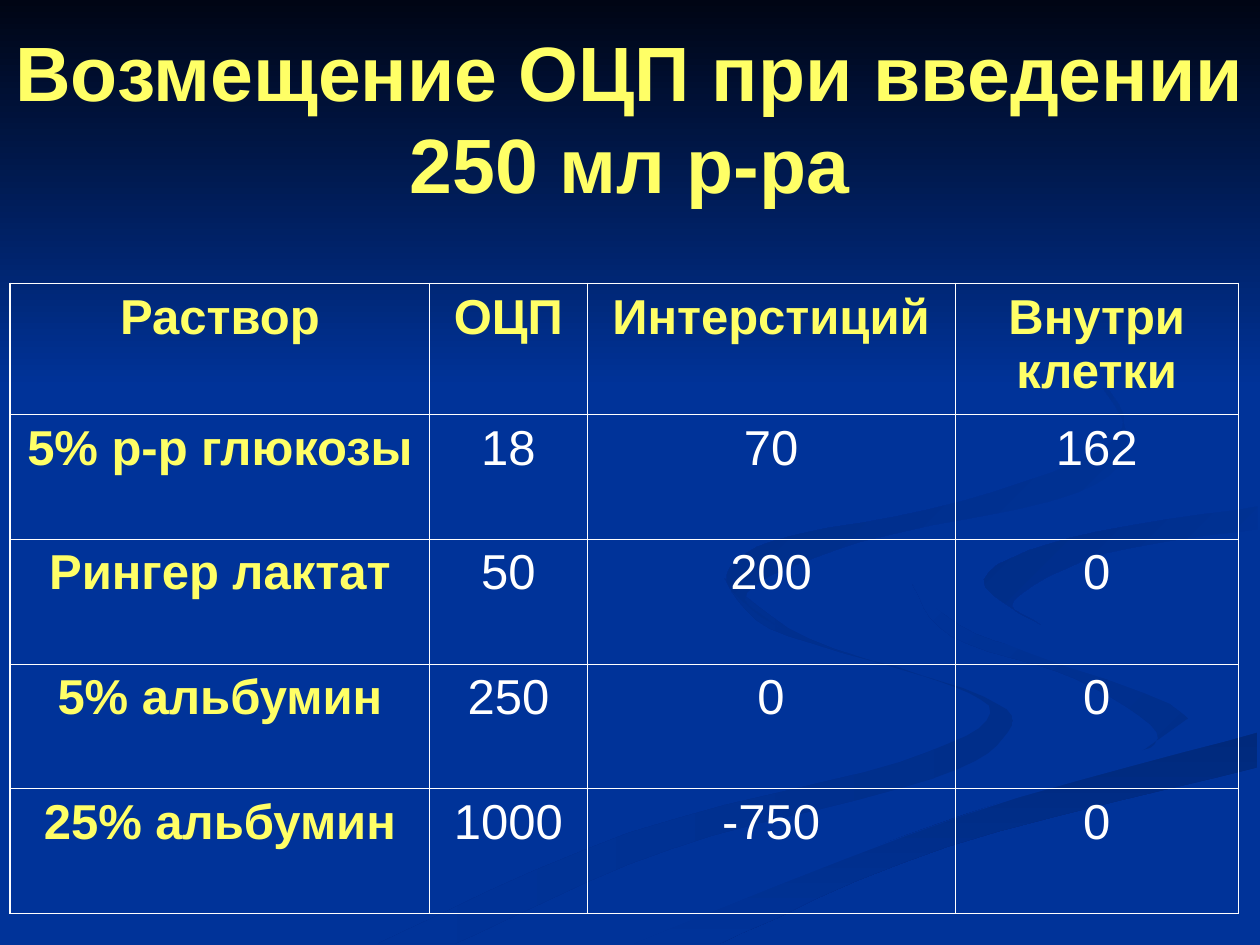
from lxml.etree import SubElement
from pptx import Presentation
from pptx.dml.color import RGBColor
from pptx.enum.shapes import MSO_SHAPE
from pptx.enum.text import MSO_ANCHOR, PP_ALIGN
from pptx.oxml.ns import qn
from pptx.util import Pt

PX = 9144
SLIDE_SIZE = (1000, 750)
COLORS = {
    "blue": "003399", "navy": "000514", "yellow": "FFFF66", "white": "FFFFFF",
    "shade": "002E8A", "deep": "00297C", "dim": "002C85", "dark": "002B81",
}

TITLE = "Возмещение ОЦП при введении 250 мл р-ра"
TITLE_BOX = {"left": 0, "top": 30, "width": 1000, "height": 125}
TABLE_ROWS = [
    ("Раствор", "ОЦП", "Интерстиций", "Внутри клетки"),
    ("5% р-р глюкозы", "18", "70", "162"),
    ("Рингер лактат", "50", "200", "0"),
    ("5% альбумин", "250", "0", "0"),
    ("25% альбумин", "1000", "-750", "0"),
]
TABLE_LEFT, TABLE_TOP = 8, 225
COLUMN_WIDTHS = [333, 125, 292, 225]
HEADER_HEIGHT, ROW_HEIGHT = 104, 99
OUTER_LINE, INNER_LINE = 1.08, 0.45

SKY_HEIGHT = 308
CURVE_STEPS = 6
RIBBONS = [
    {"colors": ("shade", "blue"), "angle": 180, "edges": [
        [(575, 459), (611, 499), (728, 535), (786, 566), (714, 605), (499, 661), (300, 749)],
        [(361, 749), (532, 674), (740, 618), (800, 581), (781, 553), (642, 507), (575, 459)]]},
    {"colors": ("shade", "blue"), "angle": 225, "edges": [
        [(724, 464), (755, 505), (854, 539), (918, 581), (894, 605)],
        [(943, 570), (888, 535), (774, 503), (724, 464)]]},
    {"colors": ("deep", "blue"), "angle": 90, "edges": [
        [(503, 749), (764, 647), (998, 581)],
        [(998, 609), (752, 672), (571, 749)]]},
    {"colors": ("blue", "blue"), "angle": 0, "edges": [
        [(999, 387), (788, 422), (725, 464), (793, 509), (943, 570), (843, 618), (477, 749)],
        [(503, 749), (765, 647), (999, 581)],
        [(999, 538), (832, 498), (781, 463), (850, 427), (999, 402)]]},
    {"colors": ("blue", "dim"), "angle": 225, "edges": [
        [(998, 402), (849, 427), (781, 460), (826, 496)],
        [(826, 496), (805, 476), (878, 439), (998, 420)]]},
    {"colors": ("blue", "dark"), "angle": 225, "edges": [
        [(762, 233), (862, 292), (886, 348), (763, 398), (615, 429), (577, 462), (622, 500)],
        [(622, 500), (593, 470), (683, 430), (855, 391), (894, 344), (843, 275), (762, 233)]]},
]


def rgb(name):
    return RGBColor.from_string(COLORS[name])


def smooth_curve(knots):
    padded = [knots[0], *knots, knots[-1]]
    points = [knots[0]]
    for before, start, end, after in zip(padded, padded[1:], padded[2:], padded[3:]):
        for step in range(1, CURVE_STEPS + 1):
            t = step / CURVE_STEPS
            points.append(tuple(
                (2 * b + (c - a) * t + (2 * a - 5 * b + 4 * c - d) * t ** 2
                 + (3 * b - a - 3 * c + d) * t ** 3) / 2
                for a, b, c, d in zip(before, start, end, after)))
    return points


def paint_gradient(shape, colors, angle):
    shape.shadow.inherit = False
    shape.line.fill.background()
    shape.fill.gradient()
    shape.fill.gradient_angle = 360 - angle
    for stop, position, color in zip(shape.fill.gradient_stops, (0, 1), colors):
        stop.position = position
        stop.color.rgb = rgb(color)


def add_ribbon(slide, colors, angle, edges):
    points = [point for edge in edges for point in smooth_curve(edge)]
    builder = slide.shapes.build_freeform(*points[0], scale=PX)
    builder.add_line_segments(points[1:])
    paint_gradient(builder.convert_to_shape(), colors, angle)


def write_text(text_frame, text, size, color, bold):
    text_frame.text = text
    paragraph = text_frame.paragraphs[0]
    paragraph.alignment = PP_ALIGN.CENTER
    font = paragraph.runs[0].font
    for name, value in {"name": "Arial", "size": Pt(size), "bold": bold}.items():
        setattr(font, name, value)
    font.color.rgb = rgb(color)
    return paragraph


def add_borders(cell, outer_sides):
    properties = cell._tc.get_or_add_tcPr()
    for side in "LRTB":
        width = OUTER_LINE if side in outer_sides else INNER_LINE
        line = SubElement(properties, qn(f"a:ln{side}"), w=str(int(Pt(width))))
        fill = SubElement(line, qn("a:solidFill"))
        SubElement(fill, qn("a:srgbClr"), val=COLORS["white"])


def add_solution_table(slide):
    last_row, last_column = len(TABLE_ROWS) - 1, len(COLUMN_WIDTHS) - 1
    row_heights = [HEADER_HEIGHT] + [ROW_HEIGHT] * last_row
    box = (TABLE_LEFT, TABLE_TOP, sum(COLUMN_WIDTHS), sum(row_heights))
    table = slide.shapes.add_table(
        last_row + 1, last_column + 1, *(length * PX for length in box)).table
    table.first_row = table.horz_banding = False
    for column, width in zip(table.columns, COLUMN_WIDTHS):
        column.width = width * PX
    for row, height in zip(table.rows, row_heights):
        row.height = height * PX
    for r, texts in enumerate(TABLE_ROWS):
        for c, text in enumerate(texts):
            cell = table.cell(r, c)
            edges = {"L": c == 0, "R": c == last_column, "T": r == 0, "B": r == last_row}
            add_borders(cell, [side for side, is_outer in edges.items() if is_outer])
            cell.fill.background()
            heading = r == 0 or c == 0
            color = "yellow" if heading else "white"
            write_text(cell.text_frame, text, 28, color, heading).space_before = Pt(7)


def main():
    presentation = Presentation()
    presentation.slide_width, presentation.slide_height = (side * PX for side in SLIDE_SIZE)
    slide = presentation.slides.add_slide(presentation.slide_layouts[5])
    slide.background.fill.solid()
    slide.background.fill.fore_color.rgb = rgb("blue")
    for ribbon in RIBBONS:
        add_ribbon(slide, **ribbon)
    sky = slide.shapes.add_shape(
        MSO_SHAPE.RECTANGLE, 0, 0, presentation.slide_width, SKY_HEIGHT * PX)
    paint_gradient(sky, ("navy", "blue"), 90)

    title = slide.shapes.title
    slide.shapes._spTree.append(title._element)
    for name, value in TITLE_BOX.items():
        setattr(title, name, value * PX)
    write_text(title.text_frame, TITLE, 44, "yellow", True)
    title.text_frame.vertical_anchor = MSO_ANCHOR.MIDDLE
    add_solution_table(slide)
    presentation.save("out.pptx")


if __name__ == "__main__":
    main()
